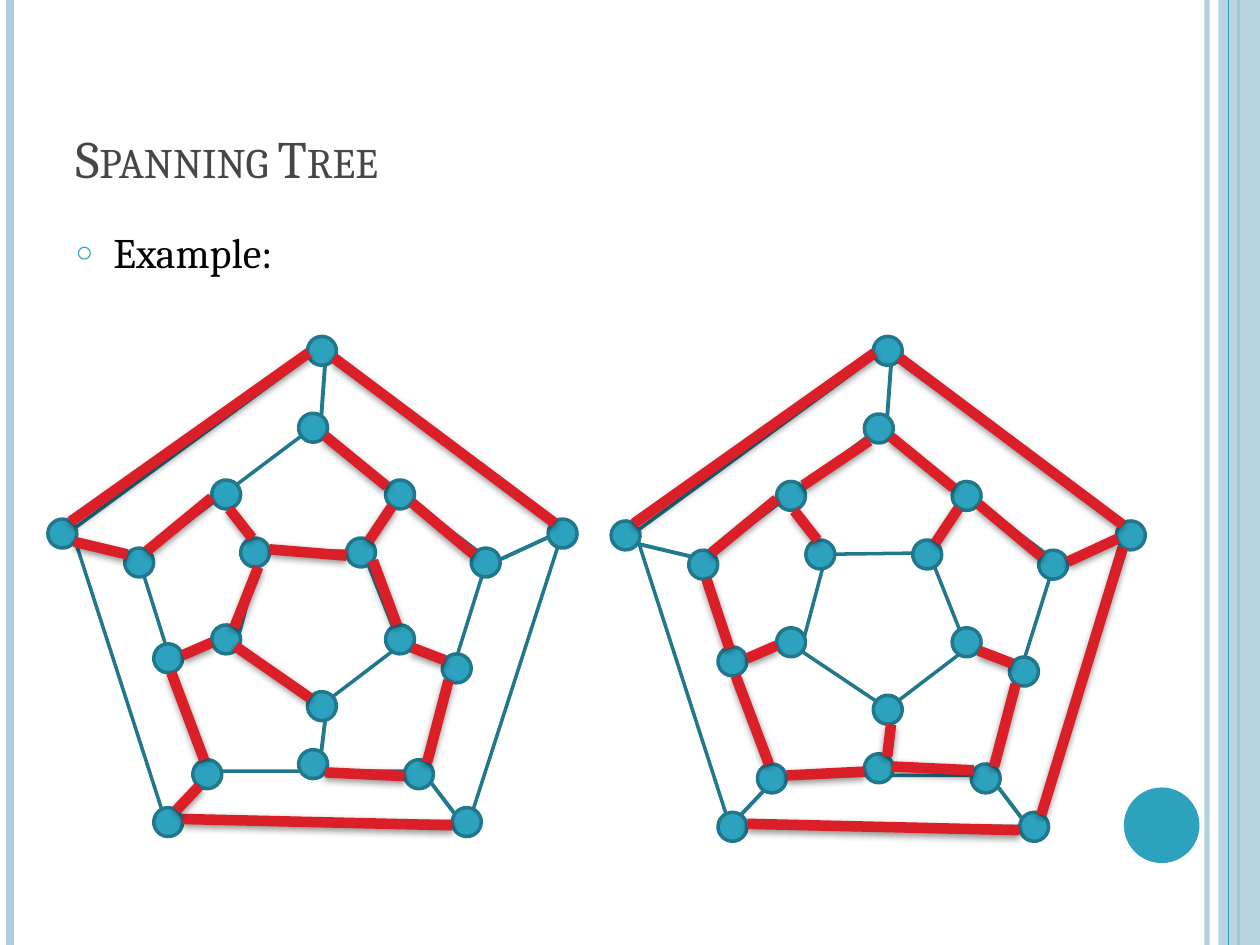
"""Build a slide comparing two spanning trees of the dodecahedron graph."""
from dataclasses import dataclass

from lxml.etree import SubElement
from pptx import Presentation
from pptx.dml.color import RGBColor
from pptx.enum.shapes import MSO_CONNECTOR, MSO_SHAPE
from pptx.enum.text import MSO_ANCHOR, PP_ALIGN
from pptx.oxml.ns import qn
from pptx.util import Inches, Pt

COLORS = {
    "node": "2DA2BF", "outline": "21788D", "edge": "227A8F", "tree": "DA1F28",
    "stripe": "ADCEDC", "title": "464646", "text": "000000", "paper": "FFFFFF",
    "shadow": "000000",
}
NODE_SIZE = 0.23
TILT = 33.8


@dataclass(frozen=True)
class Segment:
    x1: float
    y1: float
    x2: float
    y2: float


@dataclass(frozen=True)
class Pentagon:
    left: float
    top: float
    width: float
    height: float
    tilt: float = 0
    fill: str | None = None


@dataclass(frozen=True)
class Stripe:
    x: float
    color: str
    width: float
    opacity: int = 100


@dataclass(frozen=True)
class Frame:
    """Maps the coordinates of the first graph to a place on the slide."""
    left: float
    scale_x: float = 1
    scale_y: float = 1

    def x(self, value: float) -> float:
        return self.left + (value - 0.38) * self.scale_x

    def y(self, value: float) -> float:
        return 2.67 + (value - 2.67) * self.scale_y


STRIPES = [Stripe(9.58, "stripe", 3, 93), Stripe(0.08, "stripe", 4.5),
           Stripe(9.83, "node", 1.5)]
PENTAGONS = [
    Pentagon(1.88, 4.27, 1.33, 1.2, TILT, "paper"),
    Pentagon(1.1, 3.39, 2.77, 2.73),
    Pentagon(0.57, 2.78, 3.9, 3.74),
]
NODES = [
    (2.75, 4.27), (3.06, 4.96), (1.91, 4.27), (1.68, 4.96), (2.44, 5.49),
    (3.74, 4.35), (2.37, 3.28), (0.99, 4.35), (1.53, 6.03), (3.21, 6.03),
    (4.35, 4.12), (2.44, 2.67), (0.38, 4.12), (1.22, 6.41), (3.59, 6.41),
    (3.06, 3.81), (3.51, 5.19), (1.68, 3.81), (1.22, 5.11), (2.37, 5.95),
]
SPOKES = {
    "outer left": Segment(0.59, 4.3, 1.01, 4.4),
    "outer bottom left": Segment(1.4, 6.43, 1.58, 6.24),
    "outer bottom right": Segment(3.61, 6.46, 3.42, 6.21),
    "outer right": Segment(4.36, 4.26, 3.97, 4.44),
    "outer top": Segment(2.58, 2.89, 2.55, 3.3),
    "inner top left": Segment(1.82, 4.04, 2, 4.27),
    "inner top right": Segment(3.11, 4.02, 2.93, 4.29),
    "inner left": Segment(1.68, 5.1, 1.45, 5.2),
    "inner bottom": Segment(2.55, 5.97, 2.58, 5.72),
    "inner right": Segment(3.27, 5.14, 3.53, 5.24),
}
SHARED_TREE = [
    Segment(3.56, 5.4, 3.39, 6.05), Segment(3.76, 4.4, 3.27, 3.99),
    Segment(2.58, 3.46, 3.07, 3.86), Segment(1.17, 4.37, 1.68, 3.95),
    Segment(1.36, 5.34, 1.62, 6.03), Segment(3.59, 6.55, 1.45, 6.5),
    Segment(0.56, 4.14, 2.45, 2.8), Segment(4.4, 4.15, 2.65, 2.84),
    *(SPOKES[name] for name in
      ("inner top left", "inner top right", "inner left", "inner right")),
]
LEFT_TREE = SHARED_TREE + [
    Segment(2.14, 4.36, 2.75, 4.41), Segment(3.15, 4.96, 2.96, 4.45),
    Segment(2.05, 4.5, 1.86, 4.98), Segment(1.87, 5.13, 2.46, 5.54),
    Segment(2.58, 6.13, 3.21, 6.16),
    SPOKES["outer left"], SPOKES["outer bottom left"],
]
RIGHT_TREE = SHARED_TREE + [
    Segment(1.89, 3.84, 2.41, 3.49), Segment(1.13, 4.58, 1.31, 5.12),
    Segment(1.76, 6.12, 2.37, 6.09), Segment(2.59, 6.05, 3.23, 6.08),
    Segment(4.4, 4.33, 3.76, 6.43),
    SPOKES["outer right"], SPOKES["inner bottom"],
]


def rgb(name: str) -> RGBColor:
    return RGBColor.from_string(COLORS[name])


def set_opacity(shape, percent: int) -> None:
    color = next(shape._element.spPr.iter(qn("a:srgbClr")))
    SubElement(color, qn("a:alpha"), val=str(percent * 1000))


def add_line(shapes, segment: Segment, color: str, width: float, shadow: bool = False):
    ends = (segment.x1, segment.y1, segment.x2, segment.y2)
    line = shapes.add_connector(MSO_CONNECTOR.STRAIGHT, *map(Inches, ends))
    line.line.color.rgb = rgb(color)
    line.line.width = Pt(width)
    effects = SubElement(line._element.spPr, qn("a:effectLst"))
    if shadow:
        outer = SubElement(effects, qn("a:outerShdw"), blurRad=str(Pt(4)),
                           dist=str(Pt(1.6)), dir="5400000", rotWithShape="0")
        tint = SubElement(outer, qn("a:srgbClr"), val=COLORS["shadow"])
        SubElement(tint, qn("a:alpha"), val="42000")
    return line


def add_figure(shapes, kind, place: tuple, fill: str | None,
               outline: str | None = None, tilt: float = 0):
    shape = shapes.add_shape(kind, *map(Inches, place))
    shape.shadow.inherit = False
    shape.rotation = tilt
    if fill:
        shape.fill.solid()
        shape.fill.fore_color.rgb = rgb(fill)
    else:
        shape.fill.background()
    if outline:
        shape.line.color.rgb = rgb(outline)
        shape.line.width = Pt(2)
    else:
        shape.line.fill.background()
    return shape


def add_graph(page, frame: Frame, tree: list[Segment]) -> None:
    shapes = page.shapes.add_group_shape().shapes
    for item in PENTAGONS:
        place = (frame.x(item.left), frame.y(item.top),
                 item.width * frame.scale_x, item.height * frame.scale_y)
        add_figure(shapes, MSO_SHAPE.REGULAR_PENTAGON, place, item.fill, "outline", item.tilt)
    for left, top in NODES:
        place = (frame.x(left), frame.y(top), NODE_SIZE, NODE_SIZE)
        add_figure(shapes, MSO_SHAPE.OVAL, place, "node", "outline", TILT)
    styles = [(SPOKES.values(), "edge", 2.25, False), (tree, "tree", 6, True)]
    for segments, color, width, shadow in styles:
        for item in segments:
            moved = Segment(frame.x(item.x1), frame.y(item.y1),
                            frame.x(item.x2), frame.y(item.y2))
            add_line(shapes, moved, color, width, shadow)


def fill_placeholder(box, place: tuple, text: str, size: float, color: str, anchor):
    box.left, box.top, box.width, box.height = map(Inches, place)
    box.text_frame.vertical_anchor = anchor
    para = box.text_frame.paragraphs[0]
    para.alignment = PP_ALIGN.LEFT
    span = para.add_run()
    span.text = text
    for name, value in {"name": "Cambria", "size": Pt(size)}.items():
        setattr(span.font, name, value)
    span.font.color.rgb = rgb(color)
    return para


def add_bullet(para) -> None:
    properties = para._p.get_or_add_pPr()
    properties.set("marL", str(Inches(0.3)))
    properties.set("indent", str(Inches(-0.3)))
    color = SubElement(properties, qn("a:buClr"))
    SubElement(color, qn("a:srgbClr"), val=COLORS["node"])
    SubElement(properties, qn("a:buSzPct"), val="70000")
    SubElement(properties, qn("a:buChar"), char="○")
    para.space_before = Pt(0)


def main() -> None:
    deck = Presentation()
    deck.slide_width, deck.slide_height = Inches(10), Inches(7.5)
    page = deck.slides.add_slide(deck.slide_layouts[1])
    for item in STRIPES:
        line = add_line(page.shapes, Segment(item.x, 0, item.x, 7.5), item.color, item.width)
        set_opacity(line, item.opacity)
    band = add_figure(page.shapes, MSO_SHAPE.RECTANGLE, (9.67, 0, 0.33, 7.5), "stripe")
    set_opacity(band, 87)
    add_line(page.shapes, Segment(9.75, 0, 9.75, 7.5), "node", 0.75)
    add_figure(page.shapes, MSO_SHAPE.OVAL, (8.92, 6.25, 0.6, 0.6), "node")
    title = fill_placeholder(page.shapes.title, (0.5, 0.3, 8.17, 1.25),
                             "Spanning Tree", 30, "title", MSO_ANCHOR.BOTTOM)
    title.runs[0]._r.get_or_add_rPr().set("cap", "small")
    add_bullet(fill_placeholder(page.placeholders[1], (0.5, 1.75, 8.17, 5.33),
                                "Example:", 24, "text", MSO_ANCHOR.TOP))
    add_graph(page, Frame(0.38), LEFT_TREE)
    add_graph(page, Frame(4.85, 1.01, 1.01), RIGHT_TREE)
    deck.save("out.pptx")


if __name__ == "__main__":
    main()
